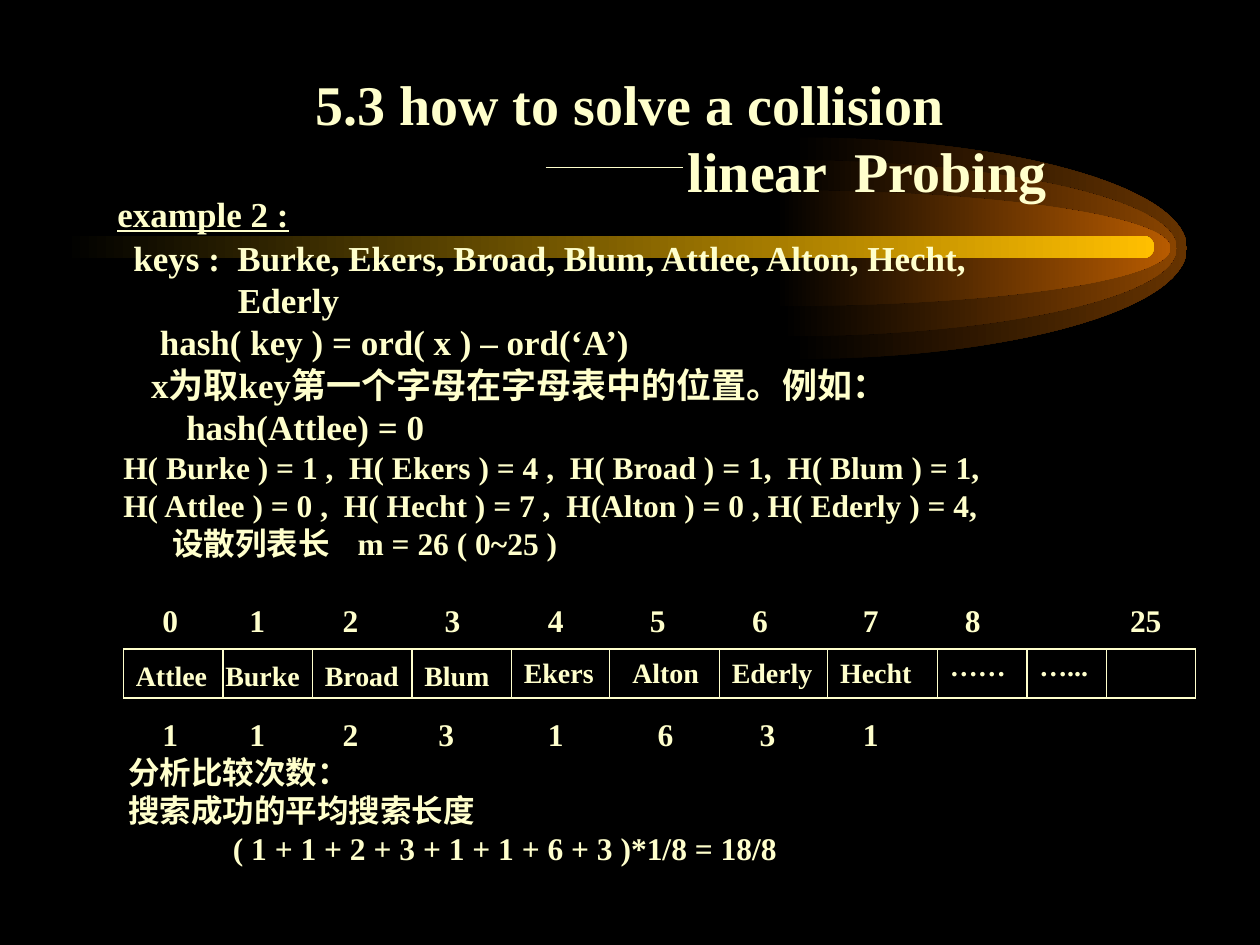
from pptx import Presentation
from pptx import util as u
from pptx.dml.color import RGBColor
from pptx.enum import shapes, text
from pptx.oxml.ns import qn
from lxml import etree

COLORS = {"night": "000000", "cream": "FFFFCC", "gold": "FFBF00",
          "brown": "663300", "rust": "894400", "amber": "B75B00"}
FONT = "Times New Roman"


def rgb(name):
    return RGBColor.from_string(COLORS[name])


class Deck:
    """Holds the slide being drawn and the style of its elements."""

    def __init__(self, slide):
        self.slide = slide
        slide.background.fill.solid()
        slide.background.fill.fore_color.rgb = rgb("night")

    def style(self, paragraph, size, underline=None):
        for run in paragraph.runs:
            run.font.name, run.font.size = FONT, u.Pt(size)
            run.font.bold, run.font.underline = True, underline
            run.font.color.rgb = rgb("cream")

    def indent(self, paragraph, left, tabs=()):
        props = paragraph._p.get_or_add_pPr()
        if left:
            props.set("marL", str(u.Inches(left)))
        if tabs:
            stops = etree.SubElement(props, qn("a:tabLst"))
            for tab in tabs:
                etree.SubElement(stops, qn("a:tab"), pos=str(u.Inches(tab)), algn="l")

    def fade(self, shape, color):
        shape.shadow.inherit = False
        shape.line.fill.background()
        shape.fill.gradient()
        shape.fill.gradient_angle = 0
        for stop, name, position in zip(shape.fill.gradient_stops, ("night", color), (0, 1)):
            stop.color.rgb = rgb(name)
            stop.position = position

    def half_ellipse(self, left, middle, width, half_height, color):
        k = 0.55  # Bezier handle of a quarter ellipse
        points = [(u.Inches(left + width * x), u.Inches(middle + half_height * y))
                  for x, y in ((0, -1), (k, -1), (1, -k), (1, 0), (1, k), (k, 1), (0, 1))]
        outline = self.slide.shapes.build_freeform(*points[0])
        outline.add_line_segments(points[1:], close=True)
        half = outline.convert_to_shape()
        # Turn each three segments into one curve
        segments = list(half._element.iter(qn("a:lnTo")))
        for first in (0, 3):
            curve = etree.Element(qn("a:cubicBezTo"))
            segments[first].addprevious(curve)
            for segment in segments[first:first + 3]:
                curve.append(segment[0])
                segment.getparent().remove(segment)
        self.fade(half, color)

    def beam(self, left, top, width, height, color):
        bar = self.slide.shapes.add_shape(
            shapes.MSO_SHAPE.ROUNDED_RECTANGLE,
            *map(u.Inches, (left, top, width, height)))
        bar.adjustments[0] = 0.5
        self.fade(bar, color)

    def title(self, lines, left, top, width, height):
        heading = self.slide.shapes.title
        heading.left, heading.top, heading.width, heading.height = map(
            u.Inches, (left, top, width, height))
        frame = heading.text_frame
        frame.auto_size = text.MSO_AUTO_SIZE.NONE
        frame.vertical_anchor = text.MSO_ANCHOR.BOTTOM
        frame.text = "\n".join(line for line, _ in lines)
        for paragraph, (_, shift) in zip(frame.paragraphs, lines):
            paragraph.alignment = text.PP_ALIGN.CENTER
            self.indent(paragraph, shift)
            self.style(paragraph, 32)
        # Bring the title in front of the decoration
        self.slide.shapes._spTree.append(heading._element)

    def text_box(self, left, top, width, height):
        box = self.slide.shapes.add_textbox(*map(u.Inches, (left, top, width, height)))
        box.text_frame.word_wrap = True
        return box.text_frame

    def body(self, lines, left, top, width, height):
        frame = self.text_box(left, top, width, height)
        frame.text = "\n".join(line[0] for line in lines)
        for paragraph, (_, size, before, shift, tabs) in zip(frame.paragraphs, lines):
            paragraph.line_spacing = 0.8
            paragraph.space_before = u.Pt(before)
            self.indent(paragraph, shift, tabs)
            self.style(paragraph, size)
        return frame

    def label(self, word, left, top, width):
        frame = self.text_box(left, top, width, 0.37)
        frame.text = word
        frame.paragraphs[0].space_before = u.Pt(10)
        self.style(frame.paragraphs[0], 16)

    def rule(self, x1, y1, x2, y2):
        line = self.slide.shapes.add_connector(
            shapes.MSO_CONNECTOR.STRAIGHT, *map(u.Inches, (x1, y1, x2, y2)))
        line.line.color.rgb = rgb("cream")
        line.line.width = u.Pt(0.75)
        etree.SubElement(line._element.spPr, qn("a:effectLst"))


def main():
    prs = Presentation()
    prs.slide_width, prs.slide_height = u.Inches(10), u.Inches(7.5)
    deck = Deck(prs.slides.add_slide(prs.slide_layouts[5]))

    # Comet decoration
    for left, half_height, color in ((6.29, 0.88, "brown"), (6.21, 0.7, "rust"),
                                     (6.16, 0.46, "amber")):
        deck.half_ellipse(left, 1.97, 3.13, half_height, color)
    deck.beam(0.5, 1.87, 8.66, 0.18, "gold")

    # Title with its dash
    deck.title([("5.3 how to solve a collision", 0), ("linear  Probing", 3.77)],
               0.75, 0.42, 8.5, 1.25)

    # Example: text, size, space before, indent, tab stops
    slots = (0.44, 1.13, 1.87, 2.68, 3.5, 4.31, 5.12, 6, 6.81, 8.12)
    probes = (0.44, 1.13, 1.87, 2.63, 3.5, 4.37, 5.18, 6)
    example = deck.body([
        (" ", 24, 5, 0, ()),
        ("keys :  Burke, Ekers, Broad, Blum, Attlee, Alton, Hecht,", 20, 5, 0.21, ()),
        ("Ederly", 20, 5, 1.04, ()),
        ("hash( key ) = ord( x ) – ord(‘A’)", 20, 5, 0.42, ()),
        ("x为取key第一个字母在字母表中的位置。例如：", 20, 5, 0.35, ()),
        ("hash(Attlee) = 0", 20, 5, 0.63, ()),
        ("H( Burke ) = 1 ,  H( Ekers ) = 4 ,  H( Broad ) = 1,  H( Blum ) = 1,", 18, 4.5, 0.13, ()),
        ("H( Attlee ) = 0 ,  H( Hecht ) = 7 ,  H(Alton ) = 0 , H( Ederly ) = 4,", 18, 4.5, 0.13, ()),
        ("\t设散列表长\tm = 26 ( 0~25 )", 18, 4.5, 0, (0.52, 1.99)),
        ("\t0\t1\t2\t3\t4\t5\t6\t7\t8\t25", 18, 26.6, 0, slots),
        ("\t1\t1\t2\t3\t1\t6\t3\t1", 18, 47.8, 0, probes),
        ("分析比较次数：", 18, 4.5, 0.17, ()),
        ("搜索成功的平均搜索长度", 18, 4.5, 0.17, ()),
        ("( 1 + 1 + 2 + 3 + 1 + 1 + 6 + 3 )*1/8 = 18/8", 18, 4.5, 1, ()),
    ], 0.75, 1.5, 8.98, 5.75)
    heading = example.paragraphs[0]
    heading.add_run().text = "example 2 :"
    deck.style(heading, 20, underline=True)
    heading.runs[0].font.size = u.Pt(24)
    heading.runs[0].font.underline = False

    deck.rule(4.33, 1.33, 5.42, 1.33)

    # Hash table outline
    edges = (0.98, 1.77, 2.48, 3.27, 4.06, 4.84, 5.71, 6.57, 7.44, 8.15, 8.78, 9.49)
    top, bottom = 5.15, 5.54
    for y in (top, bottom):
        deck.rule(edges[0], y, edges[-1], y)
    for x in edges:
        deck.rule(x, top, x, bottom)

    # Stored keys
    for word, left, y, width in (
            ("Attlee", 0.98, 5.18, 0.79), ("Burke", 1.69, 5.18, 0.94),
            ("Broad", 2.48, 5.18, 0.87), ("Blum", 3.27, 5.18, 0.94),
            ("Ekers", 4.06, 5.15, 0.87), ("Alton", 4.92, 5.15, 0.87),
            ("Ederly", 5.71, 5.15, 0.87), ("Hecht", 6.57, 5.15, 0.87),
            ("……", 7.44, 5.1, 0.71), ("…...", 8.15, 5.1, 0.63)):
        deck.label(word, left, y, width)

    prs.save("out.pptx")


if __name__ == "__main__":
    main()
